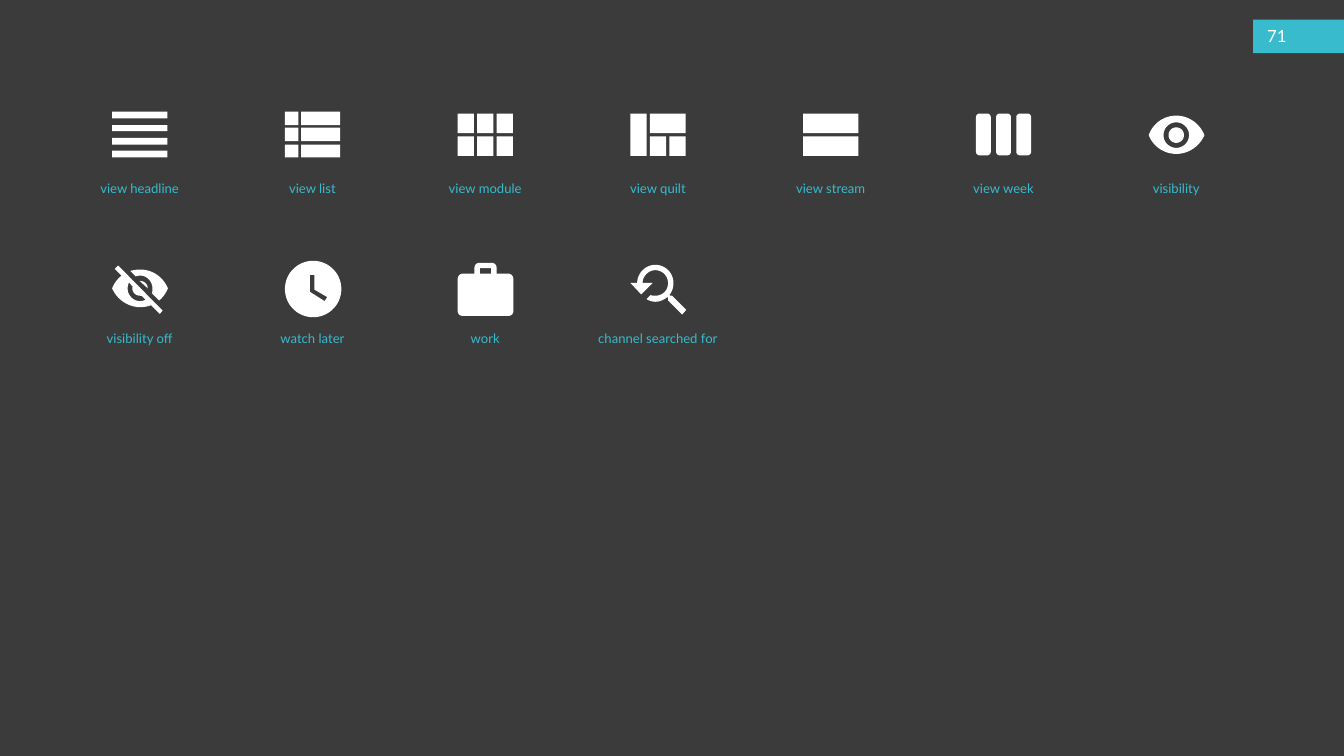
from math import cos, pi, sin

from pptx import Presentation
from pptx.dml.color import RGBColor
from pptx.enum.shapes import MSO_SHAPE
from pptx.enum.text import MSO_ANCHOR, PP_ALIGN
from pptx.util import Cm, Pt

RECTANGLE = MSO_SHAPE.RECTANGLE
LEFT, CENTER = PP_ALIGN.LEFT, PP_ALIGN.CENTER
TOP, MIDDLE = MSO_ANCHOR.TOP, MSO_ANCHOR.MIDDLE

DARK = RGBColor(0x3B, 0x3B, 0x3B)
TEAL = RGBColor(0x37, 0xBB, 0xCD)
WHITE = RGBColor(0xFF, 0xFF, 0xFF)
FONT = "Lato"

# Grid of icons, in cm
COLUMNS = 7
GRID_LEFT, GRID_TOP = 4.24, 4.22
COLUMN_STEP, ROW_STEP = 6.53, 5.64
LABEL_WIDTH, LABEL_HEIGHT = 7.06, 0.86
LABEL_SHIFT, LABEL_DROP = -2.49, 2.49
ICON_UNIT = Cm(0.0254)  # an icon fills about 84 units
CURVE_STEPS = 12


# Outlines: a pair is a corner, six numbers are a Bézier curve
def box(left, top, right, bottom):
    return [(left, top), (right, top), (right, bottom), (left, bottom)]


def boxes(columns, rows):
    return [box(left, top, right, bottom)
            for top, bottom in rows for left, right in columns]


def rounded_box(left, top, right, bottom, radius):
    half = radius / 2
    return [
        (left + radius, top), (right - radius, top),
        (right - half, top, right, top + half, right, top + radius),
        (right, bottom - radius),
        (right, bottom - half, right - half, bottom, right - radius, bottom),
        (left + radius, bottom),
        (left + half, bottom, left, bottom - half, left, bottom - radius),
        (left, top + radius),
        (left, top + half, left + half, top, left + radius, top),
    ]


def circle(x, y, radius, steps=60):
    angles = [2 * pi * step / steps for step in range(steps)]
    return [(x + radius * cos(angle), y + radius * sin(angle)) for angle in angles]


def flatten(outline):
    points = []
    for item in outline:
        if len(item) == 2:
            points.append(item)
            continue
        x0, y0 = points[-1]
        x1, y1, x2, y2, x3, y3 = item
        for step in range(1, CURVE_STEPS + 1):
            t = step / CURVE_STEPS
            a, b, c, d = (1 - t) ** 3, 3 * t * (1 - t) ** 2, 3 * t * t * (1 - t), t ** 3
            points.append((a * x0 + b * x1 + c * x2 + d * x3,
                           a * y0 + b * y1 + c * y2 + d * y3))
    return [(round(x * ICON_UNIT), round(y * ICON_UNIT)) for x, y in points]


THIRDS = [(0, 24), (29, 53), (58, 82)]
HALVES = [(3, 32), (37, 66)]

EYE = [(41, 6), (22, 6, 6, 18, 0, 35), (6, 51, 22, 63, 41, 63),
       (60, 63, 76, 51, 83, 35), (76, 18, 60, 6, 41, 6)]

CROSSED_EYE = [
    [(42, 22), (52, 22, 60, 31, 60, 41), (60, 43, 60, 46, 59, 48), (70, 59),
     (76, 54, 80, 48, 83, 41), (76, 24, 60, 13, 42, 13), (36, 13, 31, 14, 27, 15),
     (35, 23), (37, 23, 39, 22, 42, 22)],
    [(4, 12), (14, 22), (8, 27, 3, 33, 0, 41), (7, 57, 23, 69, 42, 69),
     (47, 69, 53, 68, 58, 66), (71, 79), (75, 74), (9, 7)],
    [(25, 32), (31, 39), (30, 39, 30, 40, 30, 41), (30, 47, 35, 52, 42, 52),
     (44, 52), (50, 58), (47, 59, 44, 60, 42, 60), (31, 60, 23, 51, 23, 41),
     (23, 38, 24, 35, 25, 32)],
    [(41, 30), (53, 41), (53, 35, 48, 30, 42, 30)],
]

CLOCK_HANDS = [(59, 60), (37, 46), (37, 21), (44, 21), (44, 43), (63, 54)]

BRIEFCASE = [
    (75, 19), (58, 19), (58, 11), (58, 6, 55, 3, 50, 3), (33, 3),
    (28, 3, 25, 6, 25, 11), (25, 19), (8, 19), (3, 19, 0, 23, 0, 28), (0, 74),
    (0, 79, 3, 82, 8, 82), (75, 82), (80, 82, 83, 79, 83, 74), (83, 28),
    (83, 23, 80, 19, 75, 19),
]

SEARCH_ARROW = [
    (62, 52), (59, 52), (58, 51), (62, 46, 64, 40, 64, 33), (64, 18, 52, 6, 37, 6),
    (22, 6, 10, 19, 10, 33), (0, 33), (16, 50), (33, 33), (18, 33),
    (18, 23, 27, 14, 37, 14), (48, 14, 56, 23, 56, 33), (56, 44, 48, 52, 37, 52),
    (35, 52, 32, 52, 30, 51), (24, 57), (27, 59, 32, 61, 37, 61),
    (44, 61, 50, 58, 55, 54), (56, 55), (56, 59), (77, 80), (83, 73),
]

ICONS = [
    ("view headline", boxes([(0, 82)], [(0, 10), (20, 29), (39, 49), (58, 68)])),
    ("view list", boxes([(0, 20), (24, 82)], [(0, 20), (24, 44), (49, 68)])),
    ("view module", boxes(THIRDS, HALVES)),
    ("view quilt", [box(0, 3, 24, 66), box(29, 3, 82, 32)]
     + boxes(THIRDS[1:], HALVES[1:])),
    ("view stream", boxes([(0, 82)], HALVES)),
    ("view week", [rounded_box(left, 3, left + 22, 65, 5) for left in (0, 30, 60)]),
    ("visibility", [EYE, circle(41, 35, 19), circle(41, 35, 11.5)]),
    ("visibility off", CROSSED_EYE),
    ("watch later", [circle(42, 42, 42), CLOCK_HANDS]),
    ("work", [BRIEFCASE, box(33, 11, 50, 19)]),
    ("channel searched for", [SEARCH_ARROW]),
]


def paint(shape, color):
    shape.shadow.inherit = False
    shape.fill.solid()
    shape.fill.fore_color.rgb = color
    shape.line.fill.background()


def add_text(slide, text, left, top, width, height, *, size, color,
             align=LEFT, anchor=TOP):
    text_box = slide.shapes.add_textbox(Cm(left), Cm(top), Cm(width), Cm(height))
    frame = text_box.text_frame
    frame.word_wrap = True
    frame.vertical_anchor = anchor
    paragraph = frame.paragraphs[0]
    paragraph.alignment = align
    run = paragraph.add_run()
    run.text = text
    run.font.name = FONT
    run.font.size = Pt(size)
    run.font.color.rgb = color


def add_icon(slide, outlines, left, top):
    contours = [flatten(outline) for outline in outlines]
    builder = slide.shapes.build_freeform(*contours[0][0])
    builder.add_line_segments(contours[0][1:], close=True)
    for contour in contours[1:]:
        builder.move_to(*contour[0])
        builder.add_line_segments(contour[1:], close=True)
    paint(builder.convert_to_shape(Cm(left), Cm(top)), WHITE)


def add_page_number(slide, number):
    tab = slide.shapes.add_shape(RECTANGLE, Cm(47.37), Cm(0.74), Cm(3.43), Cm(1.27))
    paint(tab, TEAL)
    add_text(slide, number, 47.65, 0.71, 1.7, 1.27, size=18, color=WHITE, anchor=MIDDLE)


def main():
    presentation = Presentation()
    presentation.slide_width = Cm(50.8)
    presentation.slide_height = Cm(28.58)
    slide = presentation.slides.add_slide(presentation.slide_layouts[6])
    slide.background.fill.solid()
    slide.background.fill.fore_color.rgb = DARK

    add_page_number(slide, "71")

    # Icons with their labels, row by row
    for index, (label, outlines) in enumerate(ICONS):
        row, column = divmod(index, COLUMNS)
        left = GRID_LEFT + column * COLUMN_STEP
        top = GRID_TOP + row * ROW_STEP
        add_icon(slide, outlines, left, top)
        add_text(slide, label, left + LABEL_SHIFT, top + LABEL_DROP,
                 LABEL_WIDTH, LABEL_HEIGHT, size=14, color=TEAL, align=CENTER)

    presentation.save("out.pptx")


if __name__ == "__main__":
    main()
